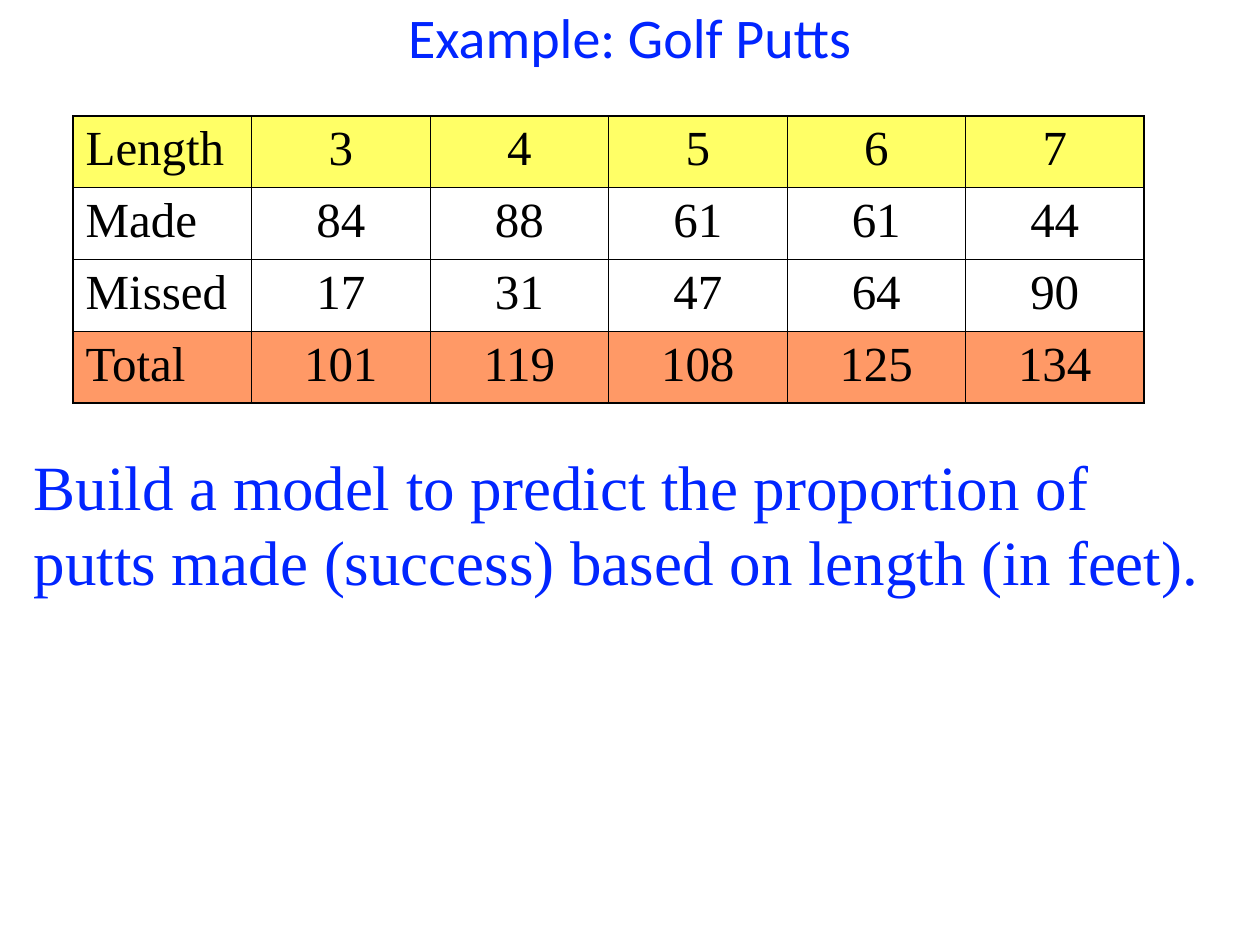
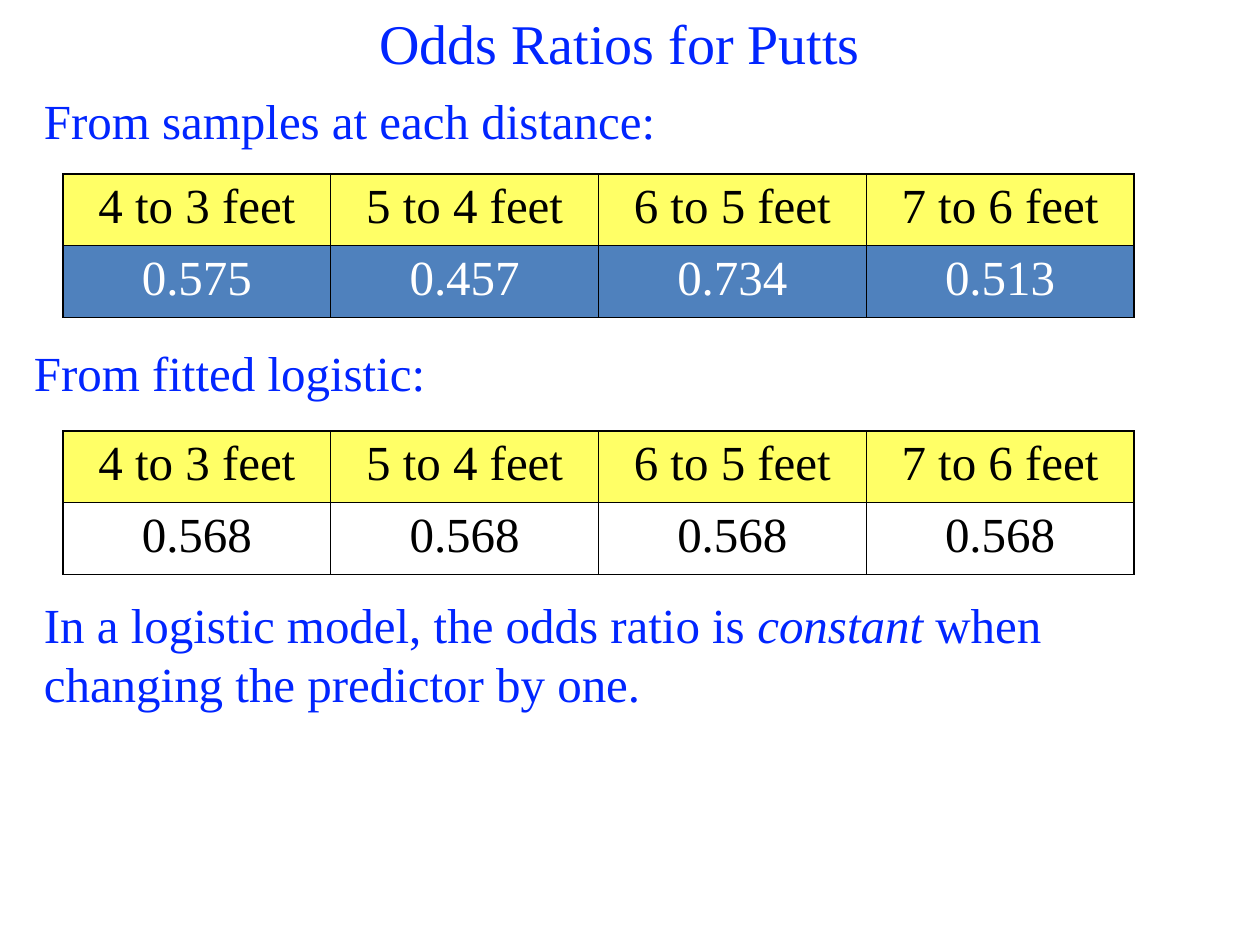
from lxml import etree
from pptx import Presentation
from pptx.dml.color import RGBColor
from pptx.enum.text import MSO_ANCHOR, PP_ALIGN
from pptx.oxml.ns import qn
from pptx.util import Inches, Pt

LEFT, CENTER = PP_ALIGN.LEFT, PP_ALIGN.CENTER
TOP, MIDDLE = MSO_ANCHOR.TOP, MSO_ANCHOR.MIDDLE

BLUE = RGBColor(0x01, 0x25, 0xFF)
BLACK = RGBColor(0x00, 0x00, 0x00)
WHITE = RGBColor(0xFF, 0xFF, 0xFF)
YELLOW = RGBColor(0xFF, 0xFF, 0x66)
ORANGE = RGBColor(0xFF, 0x99, 0x66)
STEEL = RGBColor(0x4F, 0x81, 0xBD)

SERIF = "Times New Roman"
SANS = "Calibri"
TABLE_WIDTH = 8.5
ROW_HEIGHT = 0.57
OUTER_LINE, INNER_LINE = Pt(1.08), Pt(0.45)

PUTTS = [
    ["Length", "3", "4", "5", "6", "7"],
    ["Made", "84", "88", "61", "61", "44"],
    ["Missed", "17", "31", "47", "64", "90"],
    ["Total", "101", "119", "108", "125", "134"],
]
STEPS = [f"{length + 1} to {length} feet" for length in range(3, 7)]
SAMPLE_RATIOS = ["0.575", "0.457", "0.734", "0.513"]
FITTED_RATIOS = ["0.568"] * 4


def style(paragraph, size, color=BLUE, font=SERIF, align=LEFT):
    paragraph.alignment = align
    paragraph.font.size = Pt(size)
    paragraph.font.name = font
    paragraph.font.color.rgb = color


def add_text(slide, box, parts, size=28, font=SERIF, align=LEFT, anchor=TOP):
    frame = slide.shapes.add_textbox(*map(Inches, box)).text_frame
    frame.word_wrap = True
    frame.vertical_anchor = anchor
    paragraph = frame.paragraphs[0]
    style(paragraph, size, font=font, align=align)
    for text, italic in parts:
        run = paragraph.add_run()
        run.text = text
        if italic:
            run.font.italic = True


def add_title(slide, left, height, text, font):
    add_text(slide, (left, 0, 8.5, height), [(text, False)], 32, font, CENTER, MIDDLE)


def set_borders(cell, outer_sides):
    properties = cell._tc.get_or_add_tcPr()
    for position, side in enumerate("LRTB"):
        width = OUTER_LINE if side in outer_sides else INNER_LINE
        line = etree.Element(qn(f"a:ln{side}"), w=str(width))
        fill = etree.SubElement(line, qn("a:solidFill"))
        etree.SubElement(fill, qn("a:srgbClr"), val=str(BLACK))
        properties.insert(position, line)


def add_grid(slide, left, top, rows, fills, colors, label_column=False):
    row_count, column_count = len(rows), len(rows[0])
    frame = slide.shapes.add_table(
        row_count, column_count, Inches(left), Inches(top),
        Inches(TABLE_WIDTH), Inches(ROW_HEIGHT * row_count))
    grid = frame.table
    for column in grid.columns:
        column.width = Inches(TABLE_WIDTH / column_count)
    for r, values in enumerate(rows):
        grid.rows[r].height = Inches(ROW_HEIGHT)
        for c, value in enumerate(values):
            cell = grid.cell(r, c)
            cell.text = value
            cell.fill.solid()
            cell.fill.fore_color.rgb = fills[r]
            paragraph = cell.text_frame.paragraphs[0]
            paragraph.space_before = Pt(7)
            align = LEFT if label_column and c == 0 else CENTER
            style(paragraph, 28, colors[r], align=align)
            edges = {"L": c == 0, "R": c == column_count - 1,
                     "T": r == 0, "B": r == row_count - 1}
            set_borders(cell, [side for side, outer in edges.items() if outer])


def build_putts_slide(slide):
    add_title(slide, 0.75, 0.58, "Example: Golf Putts", SANS)
    add_grid(slide, 0.58, 0.92, PUTTS, [YELLOW, WHITE, WHITE, ORANGE],
             [BLACK] * 4, label_column=True)
    add_text(slide, (0.17, 3.5, 9.58, 1.3),
             [("Build a model to predict the proportion of putts made "
               "(success) based on length (in feet).", False)], 36)


def build_odds_slide(slide):
    add_title(slide, 0.67, 0.67, "Odds Ratios for Putts", SERIF)
    add_grid(slide, 0.5, 1.38, [STEPS, SAMPLE_RATIOS], [YELLOW, STEEL], [BLACK, WHITE])
    add_text(slide, (0.25, 0.67, 8.25, 0.57), [("From samples at each distance:", False)])
    add_grid(slide, 0.5, 3.42, [STEPS, FITTED_RATIOS], [YELLOW, WHITE], [BLACK, BLACK])
    add_text(slide, (0.17, 2.67, 8.25, 0.57), [("From fitted logistic:", False)])
    add_text(slide, (0.25, 4.67, 9.42, 1.04),
             [("In a logistic model, the odds ratio is ", False),
              ("constant ", True),
              ("when changing the predictor by one.", False)])


def main():
    deck = Presentation()
    deck.slide_width, deck.slide_height = Inches(10), Inches(7.5)
    blank = deck.slide_layouts[6]
    for build in (build_putts_slide, build_odds_slide):
        build(deck.slides.add_slide(blank))
    deck.save("out.pptx")


if __name__ == "__main__":
    main()
